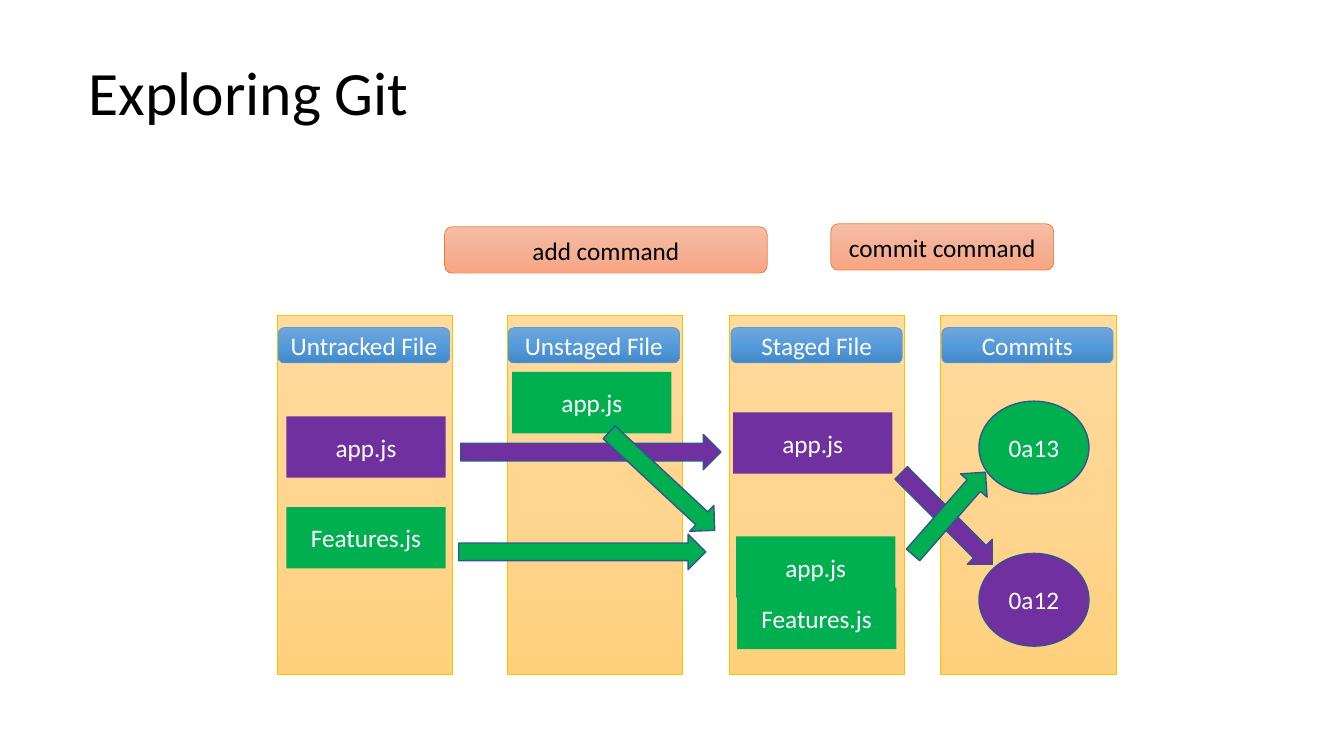
from copy import deepcopy
from typing import NamedTuple, Optional

from pptx import Presentation
from pptx.dml.color import RGBColor
from pptx.enum.shapes import MSO_SHAPE
from pptx.enum.text import MSO_ANCHOR, PP_ALIGN
from pptx.oxml.ns import qn
from pptx.util import Inches, Pt

FONT = "Calibri"
COLORS = {
    "black": "000000",
    "white": "FFFFFF",
    "purple": "7030A0",
    "green": "00B050",
    "outline": "325491",
    "gold": "FFC000",
    "blue": "5B9BD5",
    "orange": "ED7D31",
}
GRADIENTS = {
    "gold": ("FFDB9E", "FFD590", "FFD07C"),
    "blue": ("71A6DB", "559BDB", "448ACA"),
    "orange": ("F7BDA5", "F5B196", "F8A582"),
}


class Place(NamedTuple):
    left: float
    top: float
    width: float
    height: float


class Stage(NamedTuple):
    name: str
    left: float
    header_left: float


class Command(NamedTuple):
    name: str
    place: Place


class FileCard(NamedTuple):
    name: str
    left: float
    top: float
    color: str


class Commit(NamedTuple):
    name: str
    top: float
    color: str


class Arrow(NamedTuple):
    left: float
    top: float
    length: float
    color: str
    rotation: float = 0


STAGES = [
    Stage("Untracked File", 2.75, 2.76),
    Stage("Unstaged File", 5.03, 5.04),
    Stage("Staged File", 7.23, 7.25),
    Stage("Commits", 9.33, 9.34),
]
COMMANDS = [
    Command("add command", Place(4.41, 2.25, 3.2, 0.46)),
    Command("commit command", Place(8.24, 2.22, 2.21, 0.46)),
]
FILE_CARDS = [
    FileCard("app.js", 2.84, 4.13, "purple"),
    FileCard("Features.js", 2.84, 5.03, "green"),
    FileCard("app.js", 5.08, 3.69, "green"),
    FileCard("app.js", 7.27, 4.09, "purple"),
    FileCard("app.js", 7.3, 5.32, "green"),
    FileCard("Features.js", 7.31, 5.83, "green"),
]
FIRST_COMMIT = Commit("0a12", 5.49, "purple")
SECOND_COMMIT = Commit("0a13", 3.98, "green")
ARROWS = [
    Arrow(4.57, 4.31, 2.58, "purple"),
    Arrow(8.75, 4.97, 1.28, "purple", 45.1),
    Arrow(4.55, 5.3, 2.45, "green"),
    Arrow(5.85, 4.6, 1.43, "green", 42.9),
    Arrow(8.87, 4.92, 1.09, "green", 311.2),
]


def rgb(name: str) -> RGBColor:
    return RGBColor.from_string(COLORS[name])


def fill_gradient(shape, name: str) -> None:
    shape.fill.gradient()
    shape.fill.gradient_angle = 270
    stop_list = shape.element.spPr.find(".//" + qn("a:gsLst"))
    stop_list.insert(1, deepcopy(stop_list[0]))
    for index, (stop, color) in enumerate(zip(shape.fill.gradient_stops, GRADIENTS[name])):
        stop.position = index / 2
        stop.color.rgb = RGBColor.from_string(color)


def write_text(shape, text: str, color: str, size: float = 18):
    frame = shape.text_frame
    frame.text = text
    frame.word_wrap = True
    frame.vertical_anchor = MSO_ANCHOR.MIDDLE
    para = frame.paragraphs[0]
    span = para.runs[0]
    span.font.name = FONT
    span.font.size = Pt(size)
    span.font.color.rgb = rgb(color)
    return para


def add_box(page, kind: MSO_SHAPE, place: Place, fill: str,
            line: Optional[str] = None, line_width: float = 0.5,
            text: str = "", text_color: str = "white"):
    box = page.shapes.add_shape(kind, *(Inches(length) for length in place))
    box.shadow.inherit = False
    if fill in GRADIENTS:
        fill_gradient(box, fill)
    else:
        box.fill.solid()
        box.fill.fore_color.rgb = rgb(fill)
    if line:
        box.line.color.rgb = rgb(line)
        box.line.width = Pt(line_width)
    else:
        box.line.fill.background()
    if text:
        frame = box.text_frame
        frame.margin_left = frame.margin_right = Inches(0)
        frame.margin_top = frame.margin_bottom = Inches(0)
        write_text(box, text, text_color).alignment = PP_ALIGN.CENTER
    return box


def add_title(page, text: str) -> None:
    title = page.shapes.add_textbox(Inches(0.78), Inches(0.22), Inches(11.5), Inches(1.45))
    write_text(title, text, "black", 44).line_spacing = 0.9


def add_stage(page, stage: Stage) -> None:
    add_box(page, MSO_SHAPE.RECTANGLE, Place(stage.left, 3.13, 1.74, 3.56), "gold", "gold")
    add_box(page, MSO_SHAPE.ROUNDED_RECTANGLE, Place(stage.header_left, 3.25, 1.7, 0.35),
            "blue", "blue", text=stage.name)


def add_command(page, command: Command) -> None:
    add_box(page, MSO_SHAPE.ROUNDED_RECTANGLE, command.place, "orange", "orange",
            text=command.name, text_color="black")


def add_file_card(page, card: FileCard) -> None:
    add_box(page, MSO_SHAPE.RECTANGLE, Place(card.left, card.top, 1.58, 0.61),
            card.color, text=card.name)


def add_commit(page, commit: Commit) -> None:
    add_box(page, MSO_SHAPE.OVAL, Place(9.71, commit.top, 1.09, 0.92),
            commit.color, "outline", 1, commit.name)


def add_arrow(page, arrow: Arrow) -> None:
    shape = add_box(page, MSO_SHAPE.RIGHT_ARROW,
                    Place(arrow.left, arrow.top, arrow.length, 0.35),
                    arrow.color, "outline", 1)
    shape.rotation = arrow.rotation


deck = Presentation()
deck.slide_width = Inches(13.33)
deck.slide_height = Inches(7.5)
page = deck.slides.add_slide(deck.slide_layouts[6])

add_title(page, "Exploring Git")
for stage in STAGES:
    add_stage(page, stage)
for command in COMMANDS:
    add_command(page, command)
for card in FILE_CARDS:
    add_file_card(page, card)
add_commit(page, FIRST_COMMIT)
for arrow in ARROWS:
    add_arrow(page, arrow)
add_commit(page, SECOND_COMMIT)

deck.save("out.pptx")
